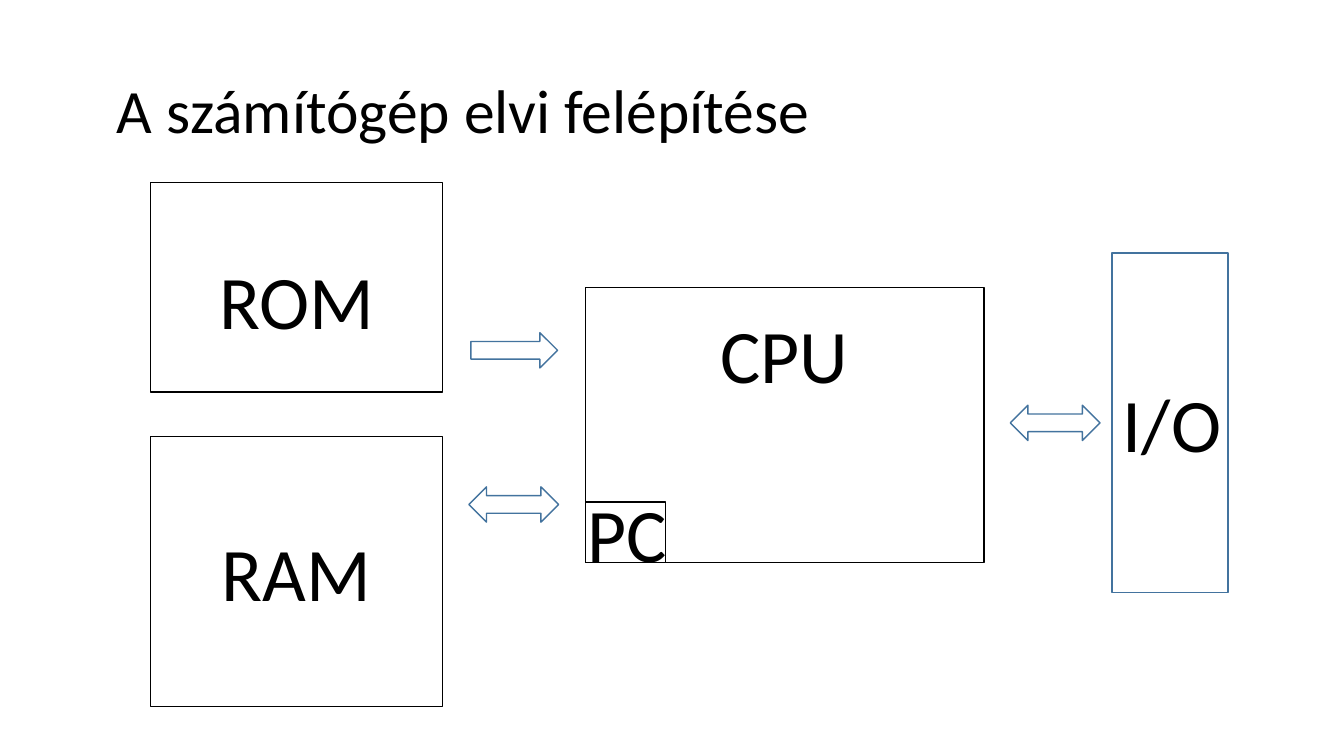
import pptx
import pptx.util
import pptx.dml.color
import pptx.enum.shapes
import pptx.enum.text

Inches = pptx.util.Inches
Pt = pptx.util.Pt
RGBColor = pptx.dml.color.RGBColor
SHAPE = pptx.enum.shapes.MSO_SHAPE
ALIGN = pptx.enum.text.PP_ALIGN
ANCHOR = pptx.enum.text.MSO_ANCHOR
AUTO_SIZE = pptx.enum.text.MSO_AUTO_SIZE

BLACK = RGBColor(0x00, 0x00, 0x00)
WHITE = RGBColor(0xFF, 0xFF, 0xFF)
BLUE = RGBColor(0x43, 0x73, 0x9E)
FONT = "Calibri"


def add_run(p, text, size):
    r = p.add_run()
    r.text = text
    r.font.name = FONT
    r.font.size = Pt(size)
    r.font.color.rgb = BLACK


def add_title(s, text):
    sp = s.shapes.title
    sp.left, sp.top = Inches(1.06), Inches(0.75)
    sp.width, sp.height = Inches(7.18), Inches(1.23)
    tf = sp.text_frame
    tf.word_wrap = True
    tf.auto_size = AUTO_SIZE.NONE
    tf.vertical_anchor = ANCHOR.TOP
    p = tf.paragraphs[0]
    p.alignment = ALIGN.LEFT
    p.line_spacing = 0.9
    add_run(p, text, 44)


def add_outline(s, kind, left, top, width, height, color):
    """Add a white preset shape with a thin coloured line."""
    sp = s.shapes.add_shape(kind, Inches(left), Inches(top),
                            Inches(width), Inches(height))
    sp.shadow.inherit = False
    sp.fill.solid()
    sp.fill.fore_color.rgb = WHITE
    sp.line.color.rgb = color
    sp.line.width = Pt(1)


def add_label(s, text, left, top, width):
    sp = s.shapes.add_textbox(Inches(left), Inches(top),
                              Inches(width), Inches(1.01))
    tf = sp.text_frame
    tf.word_wrap = False
    tf.auto_size = AUTO_SIZE.SHAPE_TO_FIT_TEXT
    p = tf.paragraphs[0]
    p.alignment = ALIGN.CENTER
    add_run(p, text, 54)


def add_unit(s, name, box, label, color=BLACK):
    """Add a hardware unit: its rectangle and its name on top."""
    add_outline(s, SHAPE.RECTANGLE, *box, color)
    add_label(s, name, *label)


def main():
    prs = pptx.Presentation()
    prs.slide_width, prs.slide_height = Inches(13.33), Inches(7.5)
    s = prs.slides.add_slide(prs.slide_layouts[5])
    add_title(s, "A számítógép elvi felépítése")

    add_unit(s, "CPU", (5.81, 2.85, 3.95, 2.73), (7.04, 3.01, 1.48))
    add_unit(s, "ROM", (1.49, 1.81, 2.9, 2.08), (2.07, 2.47, 1.75))
    add_unit(s, "RAM", (1.49, 4.33, 2.9, 2.68), (2.09, 5.17, 1.7))
    add_unit(s, "I/O", (11.03, 2.51, 1.15, 3.37), (11.03, 3.69, 1.19), BLUE)
    add_unit(s, "PC", (5.81, 4.98, 0.79, 0.6), (5.72, 4.78, 1))

    for kind, left, top, width in (
        (SHAPE.RIGHT_ARROW, 4.67, 3.3, 0.86),
        (SHAPE.LEFT_RIGHT_ARROW, 4.65, 4.83, 0.89),
        (SHAPE.LEFT_RIGHT_ARROW, 10.02, 4.02, 0.89),
    ):
        add_outline(s, kind, left, top, width, 0.35, BLUE)

    prs.save("out.pptx")


if __name__ == "__main__":
    main()
